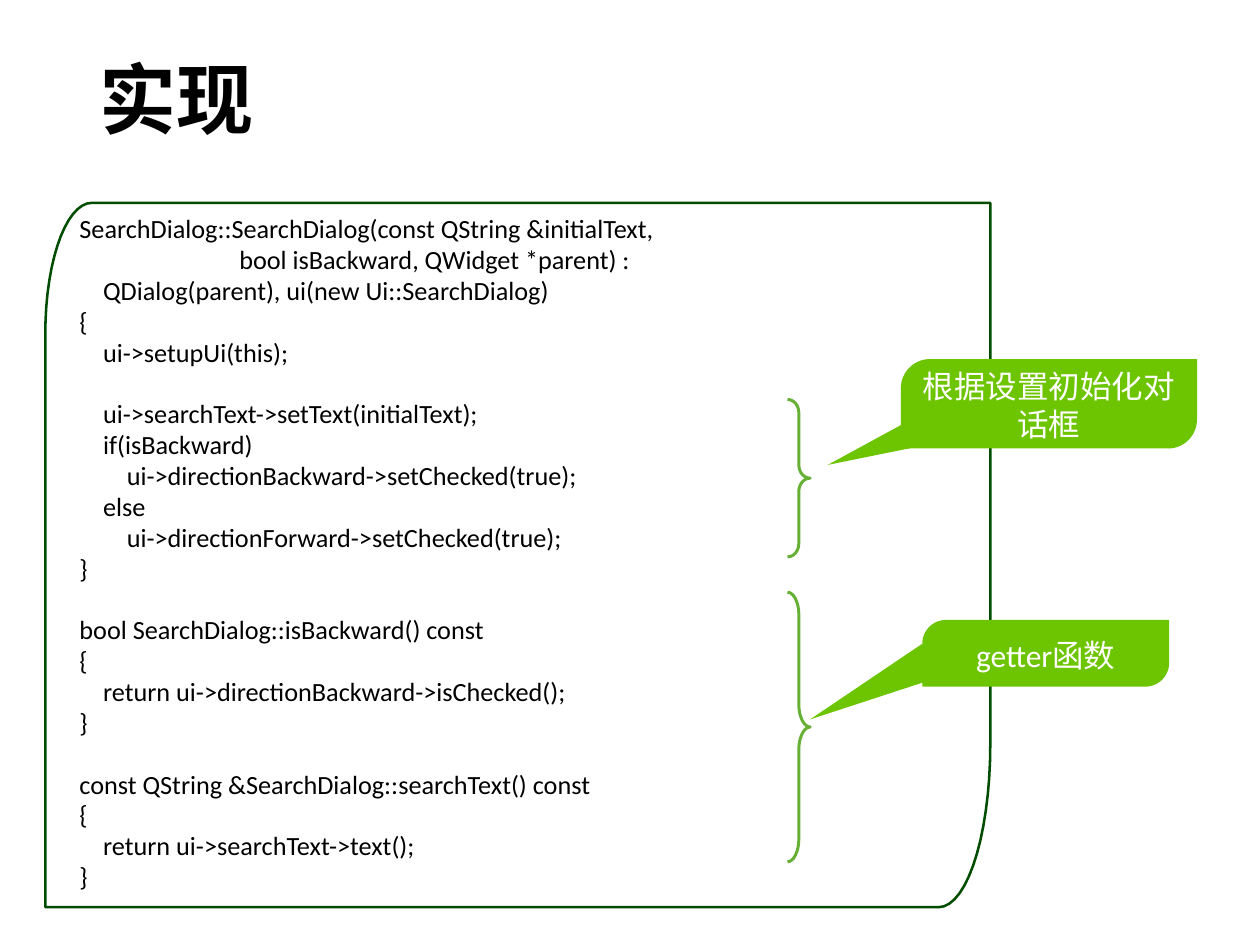
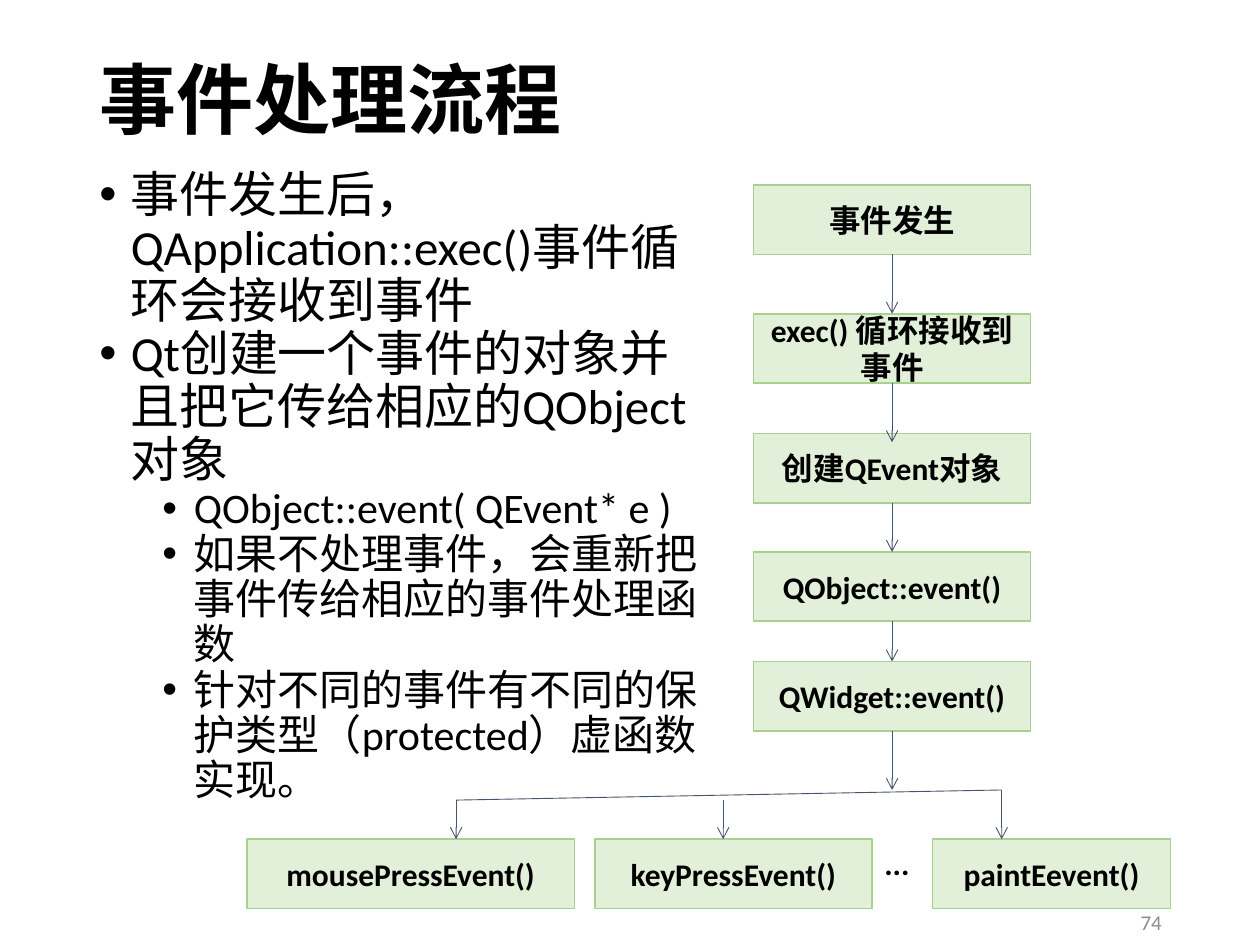
import math
from dataclasses import dataclass

from lxml import etree
from pptx import Presentation
from pptx import util as u
from pptx.dml.color import RGBColor
from pptx.enum import shapes, text
from pptx.oxml import ns

CELL = u.Inches(0.1)
COLS, ROWS = 100, 75
FONT = "Calibri"
BLACK = RGBColor(0x00, 0x00, 0x00)
WHITE = RGBColor(0xFF, 0xFF, 0xFF)
GREY = RGBColor(0x8C, 0x8C, 0x8C)
DARK_GREEN = RGBColor(0x00, 0x4C, 0x00)
BRACE_GREEN = RGBColor(0x66, 0xB0, 0x36)
CALLOUT_GREEN = RGBColor(0x6D, 0xC4, 0x00)
BOX_FILL = RGBColor(0xE2, 0xF0, 0xD9)
BOX_LINE = RGBColor(0xA9, 0xD1, 0x8E)
ARROW = RGBColor(0x44, 0x54, 0x6A)
INSETS = (1, 0.5, 1, 0.5)
CODE_GAP = 17.6

CODE_BLOCKS = [
    """SearchDialog::SearchDialog(const QString &initialText,
                           bool isBackward, QWidget *parent) :
    QDialog(parent), ui(new Ui::SearchDialog)
{
    ui->setupUi(this);""",
    """    ui->searchText->setText(initialText);
    if(isBackward)
        ui->directionBackward->setChecked(true);
    else
        ui->directionForward->setChecked(true);
}""",
    """bool SearchDialog::isBackward() const
{
    return ui->directionBackward->isChecked();
}""",
    """const QString &SearchDialog::searchText() const
{
    return ui->searchText->text();
}""",
]
EVENT_POINTS = [
    (0, "事件发生后，QApplication::exec()事件循环会接收到事件"),
    (0, "Qt创建一个事件的对象并且把它传给相应的QObject对象"),
    (1, "QObject::event( QEvent* e )"),
    (1, "如果不处理事件，会重新把事件传给相应的事件处理函数"),
    (1, "针对不同的事件有不同的保护类型（protected）虚函数实现。"),
]
# label, top row, length of the arrow that leaves the step
FLOW_STEPS = [
    ("事件发生", 0, 4.7),
    ("exec() 循环接收到事件", 10.2, 4.7),
    ("创建QEvent对象", 19.7, 3.9),
    ("QObject::event()", 29.1, 3.2),
    ("QWidget::event()", 37.8, 4.7),
]
# label, left column, width, arrow column, arrow top row
HANDLERS = [
    ("mousePressEvent()", 0, 26, 16.6, 0.8),
    ("keyPressEvent()", 27.6, 22, 37.8, 0.8),
    ("paintEevent()", 54.4, 18.9, 59.9, 0),
]


@dataclass
class Box:
    """A rectangle measured in grid columns and rows."""
    x: float
    y: float
    w: float
    h: float

    def inner(self, x, y, w, h):
        """Return a box placed relative to this one."""
        return Box(self.x + x, self.y + y, w, h)

    def point(self, x, y):
        """Return a relative point in EMU."""
        return cells(self.x + x), cells(self.y + y)

    def emu(self):
        """Return left, top, width and height in EMU."""
        return [cells(v) for v in (self.x, self.y, self.w, self.h)]


def cells(n):
    """Turn grid cells into EMU."""
    return u.Emu(round(n * CELL))


def frame_text(tf, insets=INSETS, anchor=text.MSO_ANCHOR.TOP, wrap=True):
    """Set the margins, anchor and wrapping of a text frame."""
    tf.auto_size = text.MSO_AUTO_SIZE.NONE
    tf.word_wrap = wrap
    tf.vertical_anchor = anchor
    tf.margin_left, tf.margin_top, tf.margin_right, tf.margin_bottom = map(cells, insets)


def write(p, words, size=18, color=BLACK, bold=False, align=text.PP_ALIGN.LEFT,
          spacing=1.0, before=0):
    """Write formatted words into a paragraph."""
    p.alignment = align
    p.line_spacing = spacing
    p.space_before = u.Pt(before)
    r = p.add_run()
    r.text = words
    f = r.font
    f.name, f.size, f.bold = FONT, u.Pt(size), bold
    f.color.rgb = color


def text_box(s, box, **frame):
    """Add a text box and return its text frame."""
    tf = s.shapes.add_textbox(*box.emu()).text_frame
    frame_text(tf, **frame)
    return tf


def paragraphs(tf, count):
    """Return the first paragraph and as many new ones as needed."""
    return [tf.paragraphs[0]] + [tf.add_paragraph() for _ in range(count - 1)]


def paint(sp, fill=None, line=None, width=1):
    """Set the fill and outline of a shape and drop its shadow."""
    sp.shadow.inherit = False
    if fill is None:
        sp.fill.background()
    else:
        sp.fill.solid()
        sp.fill.fore_color.rgb = fill
    if line is None:
        sp.line.fill.background()
    else:
        sp.line.color.rgb = line
        sp.line.width = u.Pt(width)


def outline(s, points, **look):
    """Draw a closed freeform through EMU points."""
    builder = s.shapes.build_freeform(*points[0], scale=1.0)
    builder.add_line_segments(points[1:], close=True)
    sp = builder.convert_to_shape()
    paint(sp, **look)
    return sp


def leaf(s, box, top_left, bottom_right, **look):
    """Draw a box with its top left and bottom right corners rounded."""
    angles = [math.radians(a) for a in range(0, 91, 6)]
    rx, ry = top_left
    points = [box.point(rx - rx * math.cos(a), ry - ry * math.sin(a)) for a in angles]
    points.append(box.point(box.w, 0))
    rx, ry = bottom_right
    points += [box.point(box.w - rx + rx * math.cos(a), box.h - ry + ry * math.sin(a))
               for a in angles]
    points.append(box.point(0, box.h))
    return outline(s, points, **look)


def connect(s, start, end, arrow=True):
    """Draw a thin line, with an arrowhead at its end if wanted."""
    c = s.shapes.add_connector(shapes.MSO_CONNECTOR.STRAIGHT, *start, *end)
    c.line.color.rgb = ARROW
    c.line.width = u.Pt(0.5)
    spPr = c._element.spPr
    if arrow:
        etree.SubElement(spPr.find(ns.qn("a:ln")), ns.qn("a:tailEnd"), type="arrow")
    etree.SubElement(spPr, ns.qn("a:effectLst"))


def titled_slide(prs, words):
    """Add a title-only slide with the shared title style."""
    s = prs.slides.add_slide(prs.slide_layouts[5])
    t = s.shapes.title
    t.left, t.top, t.width, t.height = Box(6.9, 4, 86.2, 8.4).emu()
    frame_text(t.text_frame, anchor=text.MSO_ANCHOR.MIDDLE)
    write(t.text_frame.paragraphs[0], words, size=44, bold=True, spacing=0.9)
    return s


def code_panel(s, box):
    """Place the code, its braces and its frame."""
    lines = [(line, CODE_GAP if b and not i else 0)
             for b, block in enumerate(CODE_BLOCKS)
             for i, line in enumerate(block.split("\n"))]
    tf = text_box(s, box.inner(1.8, 0.4, 72.1, 53.1), insets=(0.9, 0.5, 0.9, 0.4))
    for p, (line, gap) in zip(paragraphs(tf, len(lines)), lines):
        write(p, line, size=15, spacing=0.98, before=gap)
    for top, height, curve in ((30.9, 21.4, 1), (15.6, 12.5, 0.58)):
        sp = s.shapes.add_shape(shapes.MSO_SHAPE.RIGHT_BRACE,
                                *box.inner(58.9, top, 1.8, height).emu())
        sp.adjustments[0] = curve
        paint(sp, line=BRACE_GREEN, width=1.7)
    leaf(s, box, (3.7, 10.4), (4.1, 12.9), line=DARK_GREEN, width=1.45)


def callout(s, box, words, tail, radius):
    """Place a speech bubble whose tail runs through relative points."""
    outline(s, [box.point(*pt) for pt in tail], fill=CALLOUT_GREEN)
    sp = leaf(s, box, (radius, radius), (radius, radius), fill=CALLOUT_GREEN)
    frame_text(sp.text_frame, insets=(1.1, 0.8, 1.1, 0.6), anchor=text.MSO_ANCHOR.MIDDLE)
    write(sp.text_frame.paragraphs[0], words, color=WHITE, align=text.PP_ALIGN.CENTER)


def bullet_list(s, box):
    """Place the two-level list of points."""
    tf = text_box(s, box)
    for p, (level, words) in zip(paragraphs(tf, len(EVENT_POINTS)), EVENT_POINTS):
        pPr = p._p.get_or_add_pPr()
        pPr.set("marL", str(cells(2.5 + 5 * level)))
        pPr.set("indent", str(-cells(2.5)))
        etree.SubElement(pPr, ns.qn("a:buFont"), typeface="Arial")
        etree.SubElement(pPr, ns.qn("a:buChar"), char="•")
        write(p, words, size=28 - 4 * level, spacing=0.9)


def flow_box(s, box, words):
    """Place one labelled box of the flow chart."""
    sp = s.shapes.add_shape(shapes.MSO_SHAPE.RECTANGLE, *box.emu())
    paint(sp, fill=BOX_FILL, line=BOX_LINE)
    frame_text(sp.text_frame, anchor=text.MSO_ANCHOR.MIDDLE)
    write(sp.text_frame.paragraphs[0], words, bold=True, align=text.PP_ALIGN.CENTER)


def flow_column(s, box, step_height=5.5):
    """Place the steps and the arrows that leave them."""
    for words, top, _ in FLOW_STEPS:
        flow_box(s, box.inner(0, top, box.w, step_height), words)
    for _, top, length in FLOW_STEPS:
        bottom = top + step_height
        connect(s, box.point(box.w / 2, bottom), box.point(box.w / 2, bottom + length))


def handler_row(s, box, box_top=3.9):
    """Place the event handlers under their shared branch line."""
    for words, left, width, column, top in HANDLERS:
        flow_box(s, box.inner(left, box_top, width, box.h - box_top), words)
        connect(s, box.point(column, top), box.point(column, box_top))
    ends = [box.point(*HANDLERS[i][3:]) for i in (0, -1)]
    connect(s, *ends, arrow=False)
    tf = text_box(s, box.inner(49.6, 3.8, 4.1, 4), wrap=False)
    write(tf.paragraphs[0], "...", bold=True)


def page_number(s, box, number):
    """Place the slide number."""
    tf = text_box(s, box, anchor=text.MSO_ANCHOR.MIDDLE)
    write(tf.paragraphs[0], number, size=12, color=GREY, align=text.PP_ALIGN.RIGHT)


def code_slide(prs):
    """Build the slide with the implementation."""
    s = titled_slide(prs, "实现")
    code_panel(s, Box(3.6, 16.1, 75, 55.9))
    callout(s, Box(71.5, 28.5, 23.5, 7.1), "根据设置初始化对话框",
            [(2.1, 4.1), (-5.8, 8.4), (3.1, 6.6)], 2.3)
    callout(s, Box(73.2, 49.2, 19.6, 5.3), "getter函数",
            [(0, 1.9), (-8.9, 7.9), (1.8, 4.4)], 1.9)


def event_slide(prs):
    """Build the slide with the event flow."""
    s = titled_slide(prs, "事件处理流程")
    bullet_list(s, Box(6.9, 13, 50.1, 55.8))
    page_number(s, Box(77.1, 71.3, 16.1, 3.7), "74")
    flow_column(s, Box(59.8, 14.7, 22, 43.3))
    handler_row(s, Box(19.6, 62.7, 73.3, 9.4))


def main():
    """Build the presentation and save it."""
    prs = Presentation()
    prs.slide_width, prs.slide_height = cells(COLS), cells(ROWS)
    code_slide(prs)
    event_slide(prs)
    prs.save("out.pptx")


if __name__ == "__main__":
    main()
